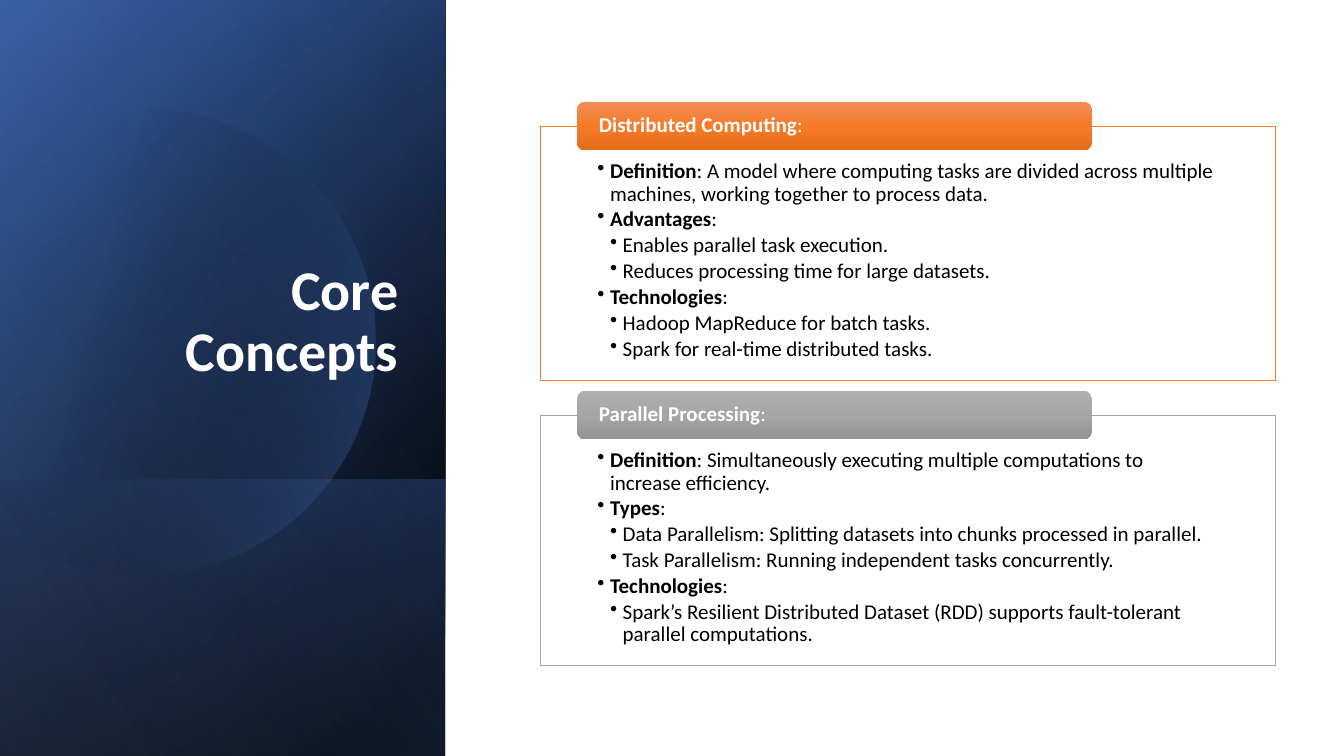
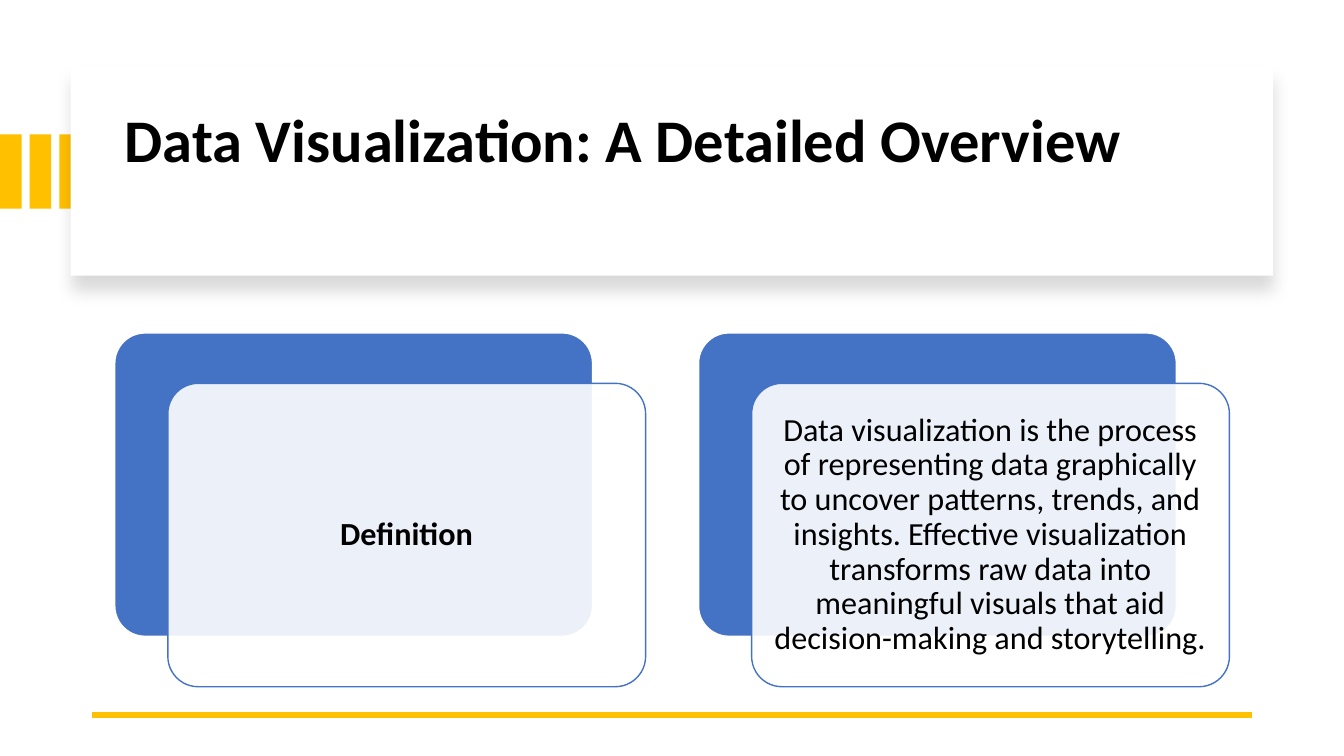
from math import acos, cos, sin

from pptx import Presentation
from pptx.dml.color import RGBColor
from pptx.enum.shapes import MSO_CONNECTOR as Connector, MSO_SHAPE as Shape
from pptx.enum.text import MSO_ANCHOR as Anchor, PP_ALIGN as Align
from pptx.oxml import parse_xml
from pptx.oxml.ns import nsdecls, qn
from pptx.oxml.xmlchemy import OxmlElement
from pptx.util import Pt

BLACK = RGBColor(0x00, 0x00, 0x00)
WHITE = RGBColor(0xFF, 0xFF, 0xFF)
BLUE = RGBColor(0x44, 0x72, 0xC4)
DEEP_BLUE = RGBColor(0x2F, 0x55, 0x97)
PALE_BLUE = RGBColor(0x8F, 0xAA, 0xDC)
GOLD = RGBColor(0xFF, 0xC0, 0x00)
ORANGE = RGBColor(0xED, 0x7D, 0x31)
GREY = RGBColor(0xA5, 0xA5, 0xA5)
ORANGE_SHADES = (RGBColor(0xF1, 0x8C, 0x57), RGBColor(0xF6, 0x7B, 0x28), RGBColor(0xE5, 0x6C, 0x19))
GREY_SHADES = (RGBColor(0xAF, 0xAF, 0xAF), GREY, RGBColor(0x93, 0x93, 0x93))

FONT = "Calibri"
SLIDE_W, SLIDE_H = 960, 540
VEIL = 90  # opacity in percent of the white panels

CONCEPTS_TITLE = "Core Concepts"
# Each point: level, bold lead, remaining text
CONCEPTS = [
    {"heading": "Distributed Computing", "top": 90, "height": 182,
     "line": ORANGE, "shades": ORANGE_SHADES,
     "points": [
         (1, "Definition", ": A model where computing tasks are divided across multiple machines, "
                           "working together to process data."),
         (1, "Advantages", ":"),
         (2, "", "Enables parallel task execution."),
         (2, "", "Reduces processing time for large datasets."),
         (1, "Technologies", ":"),
         (2, "", "Hadoop MapReduce for batch tasks."),
         (2, "", "Spark for real-time distributed tasks."),
     ]},
    {"heading": "Parallel Processing", "top": 296.4, "height": 178.6,
     "line": GREY, "shades": GREY_SHADES,
     "points": [
         (1, "Definition", ": Simultaneously executing multiple computations to increase efficiency."),
         (1, "Types", ":"),
         (2, "", "Data Parallelism: Splitting datasets into chunks processed in parallel."),
         (2, "", "Task Parallelism: Running independent tasks concurrently."),
         (1, "Technologies", ":"),
         (2, "", "Spark’s Resilient Distributed Dataset (RDD) supports fault-tolerant "
                 "parallel computations."),
     ]},
]

OVERVIEW_TITLE = "Data Visualization: A Detailed Overview"
# Each card: bold lead, remaining text
OVERVIEW_CARDS = [
    ("Definition", ""),
    ("", "Data visualization is the process of representing data graphically to uncover patterns, "
         "trends, and insights. Effective visualization transforms raw data into meaningful visuals "
         "that aid decision-making and storytelling."),
]

# Sidebar layers: top, height, gradient angle, (position, colour, opacity) stops
SIDEBAR_W = 318
FOOT_H = 197.3
SIDEBAR_BASE = [
    (0, SLIDE_H, 50, [(8, BLACK, 100), (100, DEEP_BLUE, 100)]),
    (0, SLIDE_H, 30, [(0, BLACK, 0), (99, BLUE, 46)]),
    (SLIDE_H - FOOT_H, FOOT_H, 130, [(2, BLUE, 29), (100, BLACK, 30)]),
]
SIDEBAR_GLAZE = (0, SLIDE_H, 120, [(0, BLACK, 0), (99, PALE_BLUE, 11)])
DISC_X, DISC_Y, DISC_R = 102, 244, 166.5
DISC_STOPS = [(29, BLACK, 0), (100, BLUE, 43)]


def assign(target, values):
    for name, value in values.items():
        setattr(target, name, value)


def set_opacity(color_element, percent):
    alpha = OxmlElement("a:alpha")
    alpha.set("val", str(percent * 1000))
    color_element.append(alpha)


def fill_solid(shape, color, opacity=100):
    shape.fill.solid()
    shape.fill.fore_color.rgb = color
    if opacity < 100:
        set_opacity(shape._element.spPr.find(qn("a:solidFill"))[0], opacity)


def fill_gradient(shape, angle, stops):
    """Fill with (position, colour, opacity) stops; the angle runs clockwise."""
    shape.fill.gradient()
    shape.fill.gradient_angle = (360 - angle) % 360
    stop_list = shape._element.spPr.find(qn("a:gradFill")).find(qn("a:gsLst"))
    for old_stop in list(stop_list):
        stop_list.remove(old_stop)
    for position, color, opacity in stops:
        stop = OxmlElement("a:gs")
        stop.set("pos", str(position * 1000))
        rgb = OxmlElement("a:srgbClr")
        rgb.set("val", str(color))
        if opacity < 100:
            set_opacity(rgb, opacity)
        stop.append(rgb)
        stop_list.append(stop)


def outline(shape, color=None, width=1):
    if color is None:
        shape.line.fill.background()
    else:
        shape.line.color.rgb = color
        shape.line.width = Pt(width)


def add_block(slide, kind, box, line=None, line_width=1, corner=None):
    shape = slide.shapes.add_shape(kind, *map(Pt, box))
    shape.shadow.inherit = False
    if corner is not None:
        shape.adjustments[0] = corner
    outline(shape, line, line_width)
    return shape


def set_frame(frame, margins, anchor):
    """Margins are left, top, right and bottom."""
    sides = ("margin_left", "margin_top", "margin_right", "margin_bottom")
    assign(frame, dict(zip(sides, map(Pt, margins)), word_wrap=True, vertical_anchor=anchor))


def write(paragraph, lead, rest, size, color, align=Align.LEFT, after=0):
    """Write a bold lead followed by regular text."""
    assign(paragraph, {"alignment": align, "line_spacing": 0.9, "space_after": Pt(after)})
    for text, bold in ((lead, True), (rest, False)):
        if text:
            run = paragraph.add_run()
            run.text = text
            assign(run.font, {"name": FONT, "size": Pt(size), "bold": bold})
            run.font.color.rgb = color


def add_bullet(paragraph, level):
    paragraph.level = level
    properties = paragraph._p.get_or_add_pPr()
    properties.set("marL", str(Pt(9 * level)))
    properties.set("indent", str(Pt(-9)))
    bullet = OxmlElement("a:buChar")
    bullet.set("char", "•")
    properties.append(bullet)


def add_title(slide, text, box, size, color, align, anchor):
    frame = slide.shapes.add_textbox(*map(Pt, box)).text_frame
    set_frame(frame, (7.2, 3.6, 7.2, 3.6), anchor)
    write(frame.paragraphs[0], text, "", size, color, align)


def add_sidebar_layer(slide, top, height, angle, stops):
    """Lay a mirrored, quarter-turned rectangle over the sidebar."""
    left = (SIDEBAR_W - height) / 2
    layer = add_block(slide, Shape.RECTANGLE,
                      (left, top - left, height, SIDEBAR_W))
    layer.rotation = 90
    layer._element.spPr.find(qn("a:xfrm")).set("flipH", "1")
    fill_gradient(layer, angle, stops)


def add_disc(slide):
    """Draw the circle, cut straight at the slide's left edge."""
    reach, steps = acos(-DISC_X / DISC_R), 90
    angles = [reach * (2 * step / steps - 1) for step in range(steps + 1)]
    points = [(Pt(DISC_X + DISC_R * cos(a)), Pt(DISC_Y + DISC_R * sin(a))) for a in angles]
    builder = slide.shapes.build_freeform(*points[0])
    builder.add_line_segments(points[1:], close=True)
    disc = builder.convert_to_shape()
    disc.shadow.inherit = False
    outline(disc)
    fill_gradient(disc, 14, DISC_STOPS)


def add_concept(slide, concept):
    left, width, tab_height = 386, 525, 34.8
    panel = add_block(slide, Shape.RECTANGLE, (left, concept["top"], width, concept["height"]),
                      concept["line"], 0.5)
    fill_solid(panel, WHITE, VEIL)
    frame = panel.text_frame
    set_frame(frame, (40.8, 24.5, 40.8, 8.6), Anchor.TOP)
    for index, (level, lead, rest) in enumerate(concept["points"]):
        paragraph = frame.add_paragraph() if index else frame.paragraphs[0]
        add_bullet(paragraph, level)
        write(paragraph, lead, rest, 15, BLACK, after=2.25)

    tab = add_block(slide, Shape.ROUNDED_RECTANGLE,
                    (left + width * 0.05, concept["top"] - tab_height / 2, width * 0.7, tab_height))
    fill_gradient(tab, 90, [(position, shade, 100)
                            for position, shade in zip((0, 50, 100), concept["shades"])])
    set_frame(tab.text_frame, (13.9, 0, 13.9, 0), Anchor.MIDDLE)
    write(tab.text_frame.paragraphs[0], concept["heading"], ":", 15, WHITE)


def build_concepts(slide):
    for layer in SIDEBAR_BASE:
        add_sidebar_layer(slide, *layer)
    add_disc(slide)
    add_sidebar_layer(slide, *SIDEBAR_GLAZE)
    add_title(slide, CONCEPTS_TITLE, (46, 132.5, 245.5, 145), 40, WHITE, Align.RIGHT, Anchor.BOTTOM)
    for concept in CONCEPTS:
        add_concept(slide, concept)


def add_drop_shadow(shape):
    properties = shape._element.spPr
    properties.remove(properties.find(qn("a:effectLst")))
    properties.append(parse_xml(
        f'<a:effectLst {nsdecls("a")}><a:outerShdw blurRad="{Pt(11)}" dist="{Pt(10)}" '
        f'dir="{90 * 60000}" algn="t" rotWithShape="0"><a:srgbClr val="{BLACK}">'
        '<a:alpha val="15000"/></a:srgbClr></a:outerShdw></a:effectLst>'))


def add_card(slide, left, lead, rest):
    top, width, height = 237.8, 341.3, 216.7
    offset_x, offset_y = 37.9, 36
    back = add_block(slide, Shape.ROUNDED_RECTANGLE, (left, top, width, height), WHITE, 1, 0.1)
    fill_solid(back, BLUE)
    front = add_block(slide, Shape.ROUNDED_RECTANGLE,
                      (left + offset_x, top + offset_y, width, height), BLUE, 1, 0.1)
    fill_solid(front, WHITE, VEIL)
    set_frame(front.text_frame, (7, 7, 7, 7), Anchor.MIDDLE)
    write(front.text_frame.paragraphs[0], lead, rest, 23, BLACK, Align.CENTER)


def build_overview(slide):
    for index in range(3):
        fill_solid(add_block(slide, Shape.RECTANGLE, (index * 21.2, 96, 15.4, 53)), GOLD)
    banner = add_block(slide, Shape.RECTANGLE, (50.5, 48, 859, 149))
    fill_solid(banner, WHITE)
    add_drop_shadow(banner)
    add_title(slide, OVERVIEW_TITLE, (82, 64, 801.5, 76), 43.2, BLACK, Align.LEFT, Anchor.MIDDLE)
    rule = slide.shapes.add_connector(Connector.STRAIGHT, Pt(66), Pt(510.5), Pt(894), Pt(510.5))
    outline(rule, GOLD, 4.5)
    rule._element.spPr.append(OxmlElement("a:effectLst"))
    for index, (lead, rest) in enumerate(OVERVIEW_CARDS):
        add_card(slide, 82 + index * 417, lead, rest)


def main():
    deck = Presentation()
    assign(deck, {"slide_width": Pt(SLIDE_W), "slide_height": Pt(SLIDE_H)})
    for build in (build_concepts, build_overview):
        build(deck.slides.add_slide(deck.slide_layouts[6]))
    deck.save("out.pptx")


if __name__ == "__main__":
    main()
